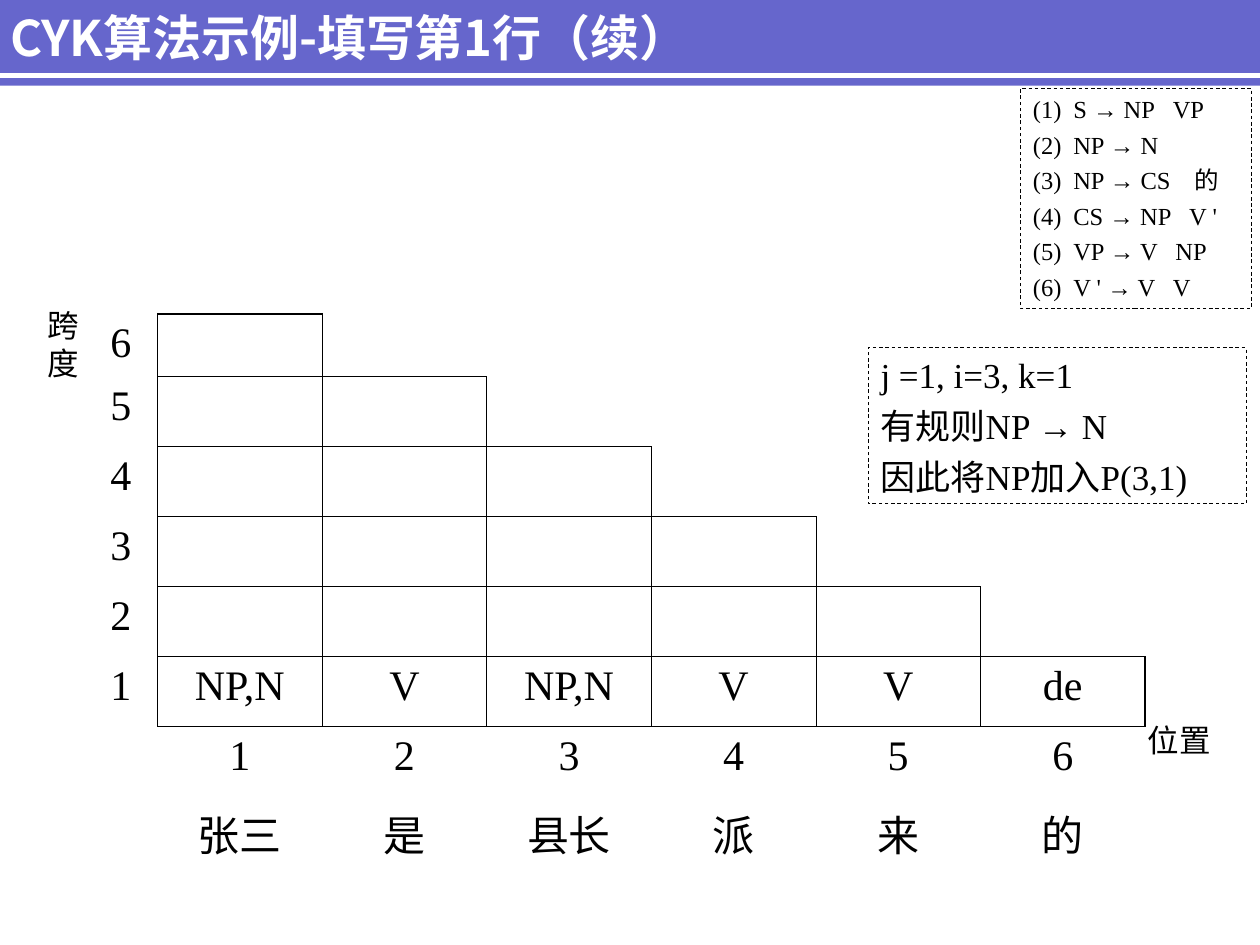
from lxml.etree import SubElement
from pptx import Presentation
from pptx.dml.color import RGBColor
from pptx.enum.dml import MSO_LINE_DASH_STYLE as Dash
from pptx.enum.shapes import MSO_CONNECTOR as Link, MSO_SHAPE as Shape
from pptx.enum.text import MSO_ANCHOR as Anchor, PP_ALIGN as Align
from pptx.oxml.ns import qn
from pptx.util import Inches, Pt

BLACK = RGBColor(0, 0, 0)
WHITE = RGBColor(255, 255, 255)
VIOLET = RGBColor(0x66, 0x66, 0xCC)
HAN = "Noto Sans CJK SC"
ROMAN = "Times New Roman"
ARROW = "→"

WORDS = ["张三", "是", "县长", "派", "来", "的"]
TAGS = ["NP,N", "V", "NP,N", "V", "V", "de"]
SPAN = len(WORDS)
# Each grammar rule with the tab stop of its last symbol
RULES = [
    ("(1)\tS → NP\tVP", 1.11),
    ("(2)\tNP → N", 1.11),
    ("(3)\tNP → CS\t的", 1.28),
    ("(4)\tCS → NP\tV '", 1.24),
    ("(5)\tVP → V\tNP", 1.13),
    ("(6)\tV ' → V\tV", 1.11),
]
STEPS = ["j =1, i=3, k=1", "有规则NP → N", "因此将NP加入P(3,1)"]


def boxed(row, col):
    """Tell whether a cell lies inside the staircase chart."""
    return 0 <= row < SPAN and 1 <= col <= row + 1


class Deck:
    def __init__(self, show):
        self.slide = show.slides.add_slide(show.slide_layouts[5])
        self.shapes = self.slide.shapes

    def run(self, para, text, name=ROMAN, color=BLACK, **style):
        run = para.add_run()
        run.text = text
        for key, val in {"name": name, "bold": False, **style}.items():
            setattr(run.font, key, val)
        run.font.color.rgb = color
        SubElement(run.font._element, qn("a:ea"), typeface=HAN)

    def phrase(self, para, text, **style):
        """Add text, giving its arrow a font of its own."""
        left, mark, right = text.partition(ARROW)
        self.run(para, left, **style)
        if mark:
            self.run(para, mark, **{**style, "name": "Arial"})
            self.run(para, right, **style)

    def stops(self, para, places):
        tabs = SubElement(para._p.get_or_add_pPr(), qn("a:tabLst"))
        for place in places:
            SubElement(tabs, qn("a:tab"), pos=str(Inches(place)), algn="l")

    def band(self, x, y, w, h):
        bar = self.shapes.add_shape(Shape.RECTANGLE, *map(Inches, (x, y, w, h)))
        bar.shadow.inherit = False
        bar.fill.solid()
        bar.fill.fore_color.rgb = VIOLET
        bar.line.fill.background()

    def rule(self, x1, y1, x2, y2):
        line = self.shapes.add_connector(
            Link.STRAIGHT, *map(Inches, (x1, y1, x2, y2)))
        line.line.color.rgb = WHITE
        line.line.width = Pt(3)
        SubElement(line._element.spPr, qn("a:effectLst"))

    def title(self, text, x, y, w, h):
        head = self.shapes.title
        place = {"left": x, "top": y, "width": w, "height": h}
        for key, val in place.items():
            setattr(head, key, Inches(val))
        self.shapes.element.append(head.element)  # in front of the band
        head.text_frame.vertical_anchor = Anchor.MIDDLE
        para = head.text_frame.paragraphs[0]
        para.alignment = Align.LEFT
        self.run(para, text, HAN, WHITE, size=Pt(28), bold=True)

    def label(self, text, x, y, w, h):
        box = self.shapes.add_textbox(*map(Inches, (x, y, w, h)))
        box.text_frame.word_wrap = True
        self.run(box.text_frame.paragraphs[0], text, "Calibri", size=Pt(18))

    def note(self, lines, x, y, w, h, size, gap):
        """Draw a dashed box; each line is a text and its tab stops."""
        box = self.shapes.add_shape(Shape.RECTANGLE, *map(Inches, (x, y, w, h)))
        box.shadow.inherit = False
        box.fill.background()
        box.line.color.rgb = BLACK
        box.line.width = Pt(0.5)
        box.line.dash_style = Dash.DASH
        frame = box.text_frame
        frame.word_wrap = True
        frame.vertical_anchor = Anchor.TOP
        for num, (text, places) in enumerate(lines):
            para = frame.add_paragraph() if num else frame.paragraphs[0]
            para.alignment = Align.LEFT
            if num:
                para.space_before = Pt(gap)
            if places:
                self.stops(para, places)
            self.phrase(para, text, size=Pt(size))

    def edge(self, cell, side, width):
        """Set one border; a width of zero hides it."""
        line = SubElement(cell._tc.get_or_add_tcPr(), qn(f"a:ln{side}"),
                          w=str(Pt(width)))
        if width:
            fill = SubElement(line, qn("a:solidFill"))
            SubElement(fill, qn("a:srgbClr"), val=str(BLACK))
        else:
            SubElement(line, qn("a:noFill"))

    def chart(self, rows, x, y, wides, highs):
        grid = self.shapes.add_table(
            len(highs), len(wides), Inches(x), Inches(y),
            Inches(sum(wides)), Inches(sum(highs))).table
        grid.first_row = grid.horz_banding = False
        for col, wide in zip(grid.columns, wides):
            col.width = Inches(wide)
        for row, high in zip(grid.rows, highs):
            row.height = Inches(high)
        sides = {"L": (0, -1), "R": (0, 1), "T": (-1, 0), "B": (1, 0)}
        heavy = {(0, 1, "T"), (SPAN - 1, SPAN, "R")}
        for r, texts in enumerate(rows):
            for c, text in enumerate(texts):
                cell = grid.cell(r, c)
                for side, (down, right) in sides.items():
                    drawn = boxed(r, c) or boxed(r + down, c + right)
                    width = 1.08 if (r, c, side) in heavy else 0.45
                    self.edge(cell, side, width if drawn else 0)
                cell.fill.background()
                if text:
                    para = cell.text_frame.paragraphs[0]
                    para.alignment = Align.CENTER
                    self.run(para, text, size=Pt(24))
        for r in range(2):
            grid.cell(r, 4).merge(grid.cell(r, 6))


def main():
    show = Presentation()
    show.slide_width, show.slide_height = Inches(10), Inches(7.5)
    deck = Deck(show)
    deck.band(-0.04, -0.03, 10.04, 0.71)
    deck.rule(-0.04, 0.6, 10, 0.6)
    deck.title("CYK算法示例-填写第1行（续）", -0.02, -0.33, 9.5, 1.25)

    rows = [[str(n)] + [""] * SPAN for n in range(SPAN, 1, -1)]
    rows += [["1"] + TAGS,
             [""] + [str(n + 1) for n in range(SPAN)],
             [""] + WORDS]
    deck.chart(rows, 0.67, 2.49, [0.58] + [7.84 / SPAN] * SPAN,
               [0.5] + [3.89 / (SPAN + 1)] * (SPAN + 1))

    deck.label("跨度", 0.28, 2.38, 0.6, 0.7)
    deck.label("位置", 9.01, 5.67, 0.98, 0.4)
    deck.note([(step, []) for step in STEPS], 6.89, 2.76, 3, 1.24, 20, 5)
    deck.note([(text, [0.32, stop]) for text, stop in RULES],
              8.1, 0.7, 1.83, 1.75, 14, 3.5)
    show.save("out.pptx")


if __name__ == "__main__":
    main()
